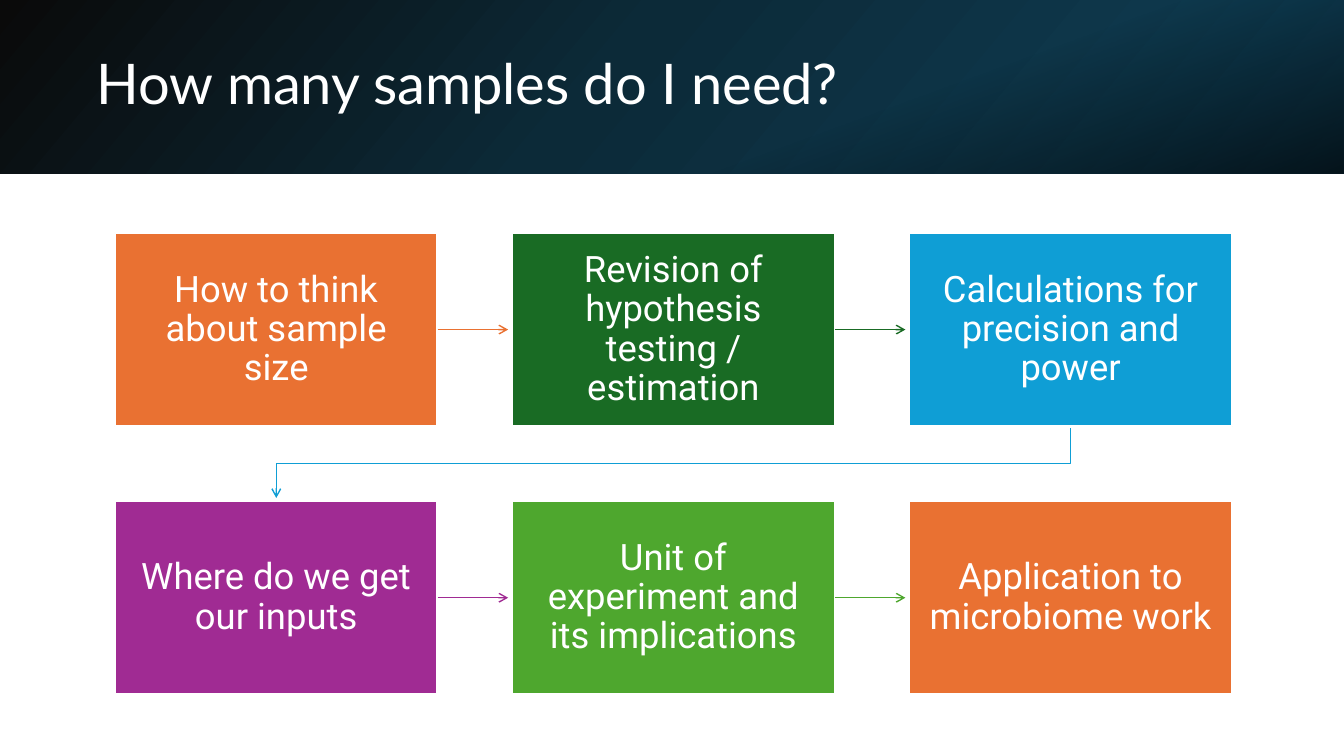
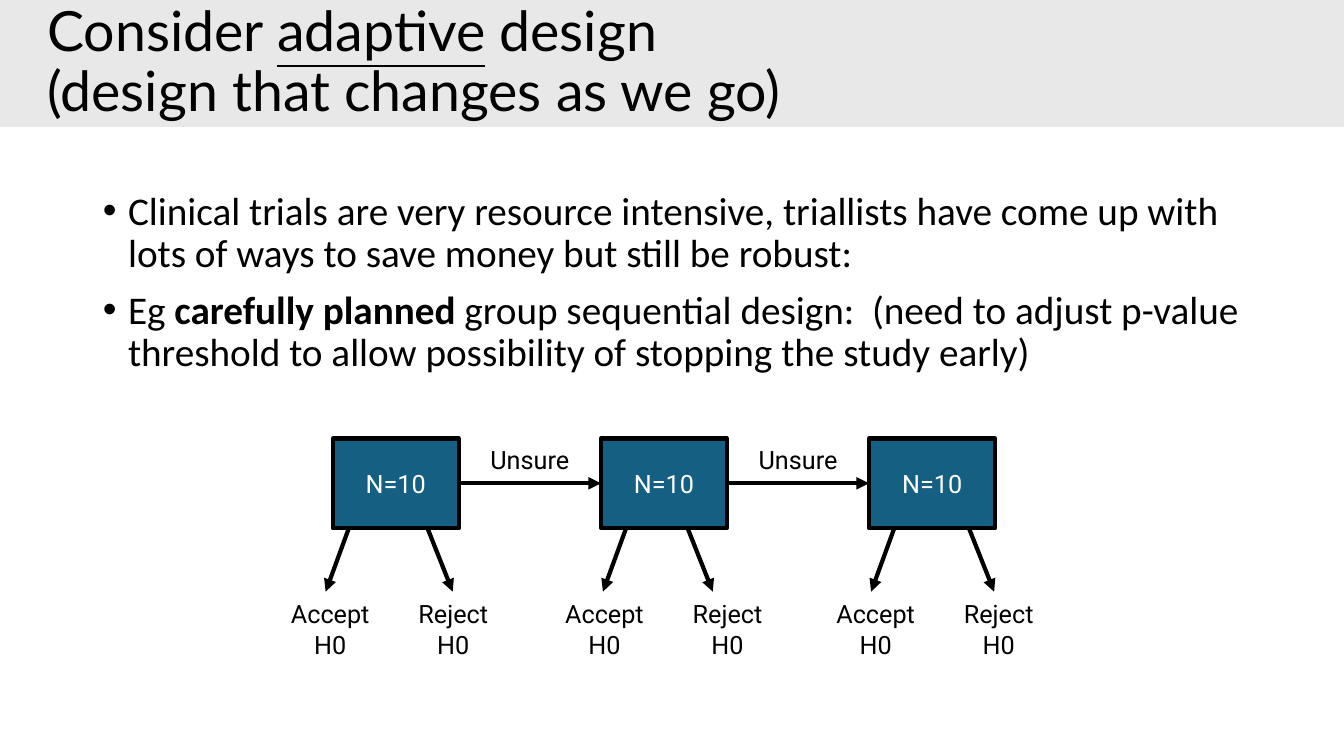
from dataclasses import dataclass

from lxml import etree
from pptx import Presentation
from pptx.dml.color import RGBColor
from pptx.enum.shapes import MSO_CONNECTOR, MSO_SHAPE
from pptx.enum.text import MSO_ANCHOR, MSO_AUTO_SIZE, PP_ALIGN
from pptx.oxml.ns import qn
from pptx.util import Inches, Pt

RECTANGLE = MSO_SHAPE.RECTANGLE
STRAIGHT = MSO_CONNECTOR.STRAIGHT
TOP, MIDDLE = MSO_ANCHOR.TOP, MSO_ANCHOR.MIDDLE
LEFT, CENTER = PP_ALIGN.LEFT, PP_ALIGN.CENTER
NO_FIT = MSO_AUTO_SIZE.NONE
RIGHT_SIDE, LEFT_SIDE = 3, 1
TITLE_AND_CONTENT, TITLE_ONLY = 1, 5
SLIDE_WIDTH, SLIDE_HEIGHT = 13.33, 7.5


@dataclass(frozen=True)
class Theme:
    title_font: str = "Lato"
    body_font: str = "Calibri"
    label_font: str = "Roboto"
    title_size: float = 40
    long_title_size: float = 39.6
    body_size: float = 28
    step_size: float = 26
    label_size: float = 18
    white: str = "FFFFFF"
    black: str = "000000"
    grey: str = "E8E8E8"
    teal: str = "156082"
    orange: str = "E97132"
    dark_green: str = "196B24"
    blue: str = "0F9ED5"
    purple: str = "A02B93"
    green: str = "4EA72E"
    # Gradient stops: position, colour, opacity (all in percent)
    band: tuple = ((0, "0A0A0A", 100), (45, "0C2A38", 100), (100, "0F4058", 100))
    band_shade: tuple = ((65, "000000", 0), (100, "000000", 70))


THEME = Theme()


# Shared helpers
def place(shape, left, top, width, height):
    shape.left, shape.top = Inches(left), Inches(top)
    shape.width, shape.height = Inches(width), Inches(height)


def style_text(frame, font, size, color, align=LEFT, spacing=1.0, anchor=MIDDLE):
    frame.word_wrap = True
    frame.auto_size = NO_FIT
    frame.vertical_anchor = anchor
    for para in frame.paragraphs:
        para.alignment = align
        para.line_spacing = spacing
        for span in para.runs:
            span.font.name, span.font.size = font, Pt(size)
            span.font.color.rgb = RGBColor.from_string(color)


def style_line(shape, color, width, arrow=None):
    shape.line.color.rgb = RGBColor.from_string(color)
    shape.line.width = Pt(width)
    if arrow:
        outline = shape.element.spPr.find(qn("a:ln"))
        etree.SubElement(outline, qn("a:tailEnd"), type=arrow)


def add_box(page, left, top, width, height, fill=None):
    box = page.shapes.add_shape(
        RECTANGLE, Inches(left), Inches(top), Inches(width), Inches(height))
    box.shadow.inherit = False
    box.line.fill.background()
    if fill:
        box.fill.solid()
        box.fill.fore_color.rgb = RGBColor.from_string(fill)
    return box


def add_arrow(page, start, end, color, width, head):
    arrow = page.shapes.add_connector(
        STRAIGHT, *(Inches(value) for value in (*start, *end)))
    style_line(arrow, color, width, head)
    etree.SubElement(arrow.element.spPr, qn("a:effectLst"))
    return arrow


def add_label(page, text, left, top, width, height):
    label = page.shapes.add_textbox(
        Inches(left), Inches(top), Inches(width), Inches(height))
    label.text_frame.text = text
    style_text(label.text_frame, THEME.label_font, THEME.label_size,
               THEME.black, CENTER, anchor=TOP)


def fill_gradient(shape, stops, angle):
    properties = shape.element.spPr
    gradient = etree.Element(qn("a:gradFill"), rotWithShape="1")
    stop_list = etree.SubElement(gradient, qn("a:gsLst"))
    for position, color, opacity in stops:
        stop = etree.SubElement(stop_list, qn("a:gs"), pos=str(position * 1000))
        shade = etree.SubElement(stop, qn("a:srgbClr"), val=color)
        etree.SubElement(shade, qn("a:alpha"), val=str(opacity * 1000))
    etree.SubElement(gradient, qn("a:lin"), ang=str(angle * 60000), scaled="0")
    properties.find(qn("a:prstGeom")).addnext(gradient)


def format_title(page, box, size, color):
    title = page.shapes.title
    place(title, *box)
    frame = title.text_frame
    frame.margin_left = Inches(0.47)
    frame.margin_right = Inches(0.1)
    style_text(frame, THEME.title_font, size, color, spacing=0.9)


# Slide 1: steps of the talk
def add_gradient_band(page, left, top, width, height):
    for stops, angle in ((THEME.band, 40), (THEME.band_shade, 70)):
        band = add_box(page, left, top, width, height)
        fill_gradient(band, stops, angle)
        page.shapes.title.element.addprevious(band.element)


def add_step(page, text, color, left, top, width, height):
    step = add_box(page, left, top, width, height, color)
    style_line(step, THEME.white, 1.5)
    frame = step.text_frame
    frame.text = text
    frame.margin_left = frame.margin_right = Inches(0.16)
    frame.margin_top = frame.margin_bottom = Inches(0.16)
    style_text(frame, THEME.label_font, THEME.step_size, THEME.white, CENTER, 0.9)
    return step


def add_row_return(page, points, color):
    corners = [(Inches(x), Inches(y)) for x, y in points]
    builder = page.shapes.build_freeform(*corners[0])
    builder.add_line_segments(corners[1:], close=False)
    route = builder.convert_to_shape()
    route.shadow.inherit = False
    route.fill.background()
    style_line(route, color, 1, "arrow")


def add_step_grid(page, steps, left, top):
    width, height, column_pitch, row_pitch, columns = 3.2, 1.92, 3.94, 2.66, 3
    for index, (text, color) in enumerate(steps):
        row, column = divmod(index, columns)
        x, y = left + column * column_pitch, top + row * row_pitch
        step = add_step(page, text, color, x, y, width, height)
        if column < columns - 1:
            middle = y + height / 2
            arrow = add_arrow(page, (x + width, middle),
                              (x + column_pitch - 0.04, middle), color, 1, "arrow")
            arrow.begin_connect(step, RIGHT_SIDE)
        elif index < len(steps) - 1:
            start_x, end_x = x + width / 2, left + width / 2
            bottom, next_top = y + height, y + row_pitch
            bend = (bottom + next_top) / 2
            add_row_return(page, [(start_x, bottom + 0.02), (start_x, bend),
                                  (end_x, bend), (end_x, next_top - 0.03)], color)


def build_steps_slide(deck):
    page = deck.slides.add_slide(deck.slide_layouts[TITLE_ONLY])
    add_gradient_band(page, 0, 0, SLIDE_WIDTH, 1.72)
    page.shapes.title.text_frame.text = "How many samples do I need?"
    format_title(page, (0.49, 0.38, 10.98, 0.96), THEME.title_size, THEME.white)
    add_step_grid(page, [
        ("How to think about sample size", THEME.orange),
        ("Revision of hypothesis testing / estimation", THEME.dark_green),
        ("Calculations for precision and power", THEME.blue),
        ("Where do we get our inputs", THEME.purple),
        ("Unit of experiment and its implications", THEME.green),
        ("Application to microbiome work", THEME.orange),
    ], 1.14, 2.31)


# Slide 2: adaptive design
def add_adaptive_title(page):
    title = page.shapes.title
    title.fill.solid()
    title.fill.fore_color.rgb = RGBColor.from_string(THEME.grey)
    para = title.text_frame.paragraphs[0]
    para.text = "Consider "
    emphasis = para.add_run()
    emphasis.text = "adaptive"
    emphasis.font.underline = True
    para.add_run().text = " design"
    para.add_line_break()
    para.add_run().text = "(design that changes as we go)"
    format_title(page, (0, 0, SLIDE_WIDTH, 1.26), THEME.long_title_size, THEME.black)


def add_bullets(page, bullets, box):
    body = page.placeholders[1]
    place(body, *box)
    frame = body.text_frame
    for index, spans in enumerate(bullets):
        para = frame.add_paragraph() if index else frame.paragraphs[0]
        properties = para._p.get_or_add_pPr()
        properties.set("marL", str(Inches(0.25)))
        properties.set("indent", str(Inches(-0.25)))
        etree.SubElement(properties, qn("a:buChar"), char="•")
        para.space_before = Pt(10 if index else 0)
        for text, bold in spans:
            span = para.add_run()
            span.text = text
            span.font.bold = bold
    style_text(frame, THEME.body_font, THEME.body_size, THEME.black,
               spacing=0.9, anchor=TOP)


def add_stage(page, left, top, label_shift, accept_start, reject_start):
    width, height, drop = 1.25, 0.89, 0.63
    stage = add_box(page, left, top, width, height, THEME.teal)
    style_line(stage, THEME.black, 3)
    stage.text_frame.text = "N=10"
    style_text(stage.text_frame, THEME.label_font, THEME.label_size,
               THEME.white, CENTER)
    bottom = top + height
    outcomes = (("Accept H0", accept_start, -0.23, label_shift),
                ("Reject H0", reject_start, 0.25, label_shift + 1.22))
    for text, start, slant, label_left in outcomes:
        x = left + start
        add_arrow(page, (x, bottom), (x + slant, bottom + drop),
                  THEME.black, 3, "triangle")
        add_label(page, text, left + label_left, bottom + drop + 0.02, 1.05, 0.71)
    return stage


def add_sequence(page, left, top):
    pitch = 2.66
    # Label shift, then starts of the accept and reject arrows
    offsets = ((-0.55, 0.16, 0.94), (-0.49, 0.25, 0.86), (-0.46, 0.25, 0.99))
    stages = [add_stage(page, left + index * pitch, top, *offset)
              for index, offset in enumerate(offsets)]
    for index, (stage, following) in enumerate(zip(stages, stages[1:])):
        arrow = add_arrow(page, (0, 0), (1, 0), THEME.black, 3, "triangle")
        arrow.begin_connect(stage, RIGHT_SIDE)
        arrow.end_connect(following, LEFT_SIDE)
        add_label(page, "Unsure", left + index * pitch + 1.43, top + 0.01, 1.05, 0.4)


def build_adaptive_slide(deck):
    page = deck.slides.add_slide(deck.slide_layouts[TITLE_AND_CONTENT])
    add_adaptive_title(page)
    add_bullets(page, [
        [("Clinical trials are very resource intensive, triallists have come up "
          "with lots of ways to save money but still be robust:", False)],
        [("Eg ", False), ("carefully planned ", True),
         ("group sequential design:  (need to adjust p-value threshold to allow "
          "possibility of stopping the study early)", False)],
    ], (0.92, 1.85, 11.5, 4.76))
    add_sequence(page, 3.3, 4.35)


def main():
    deck = Presentation()
    deck.slide_width, deck.slide_height = Inches(SLIDE_WIDTH), Inches(SLIDE_HEIGHT)
    build_steps_slide(deck)
    build_adaptive_slide(deck)
    deck.save("out.pptx")


if __name__ == "__main__":
    main()
